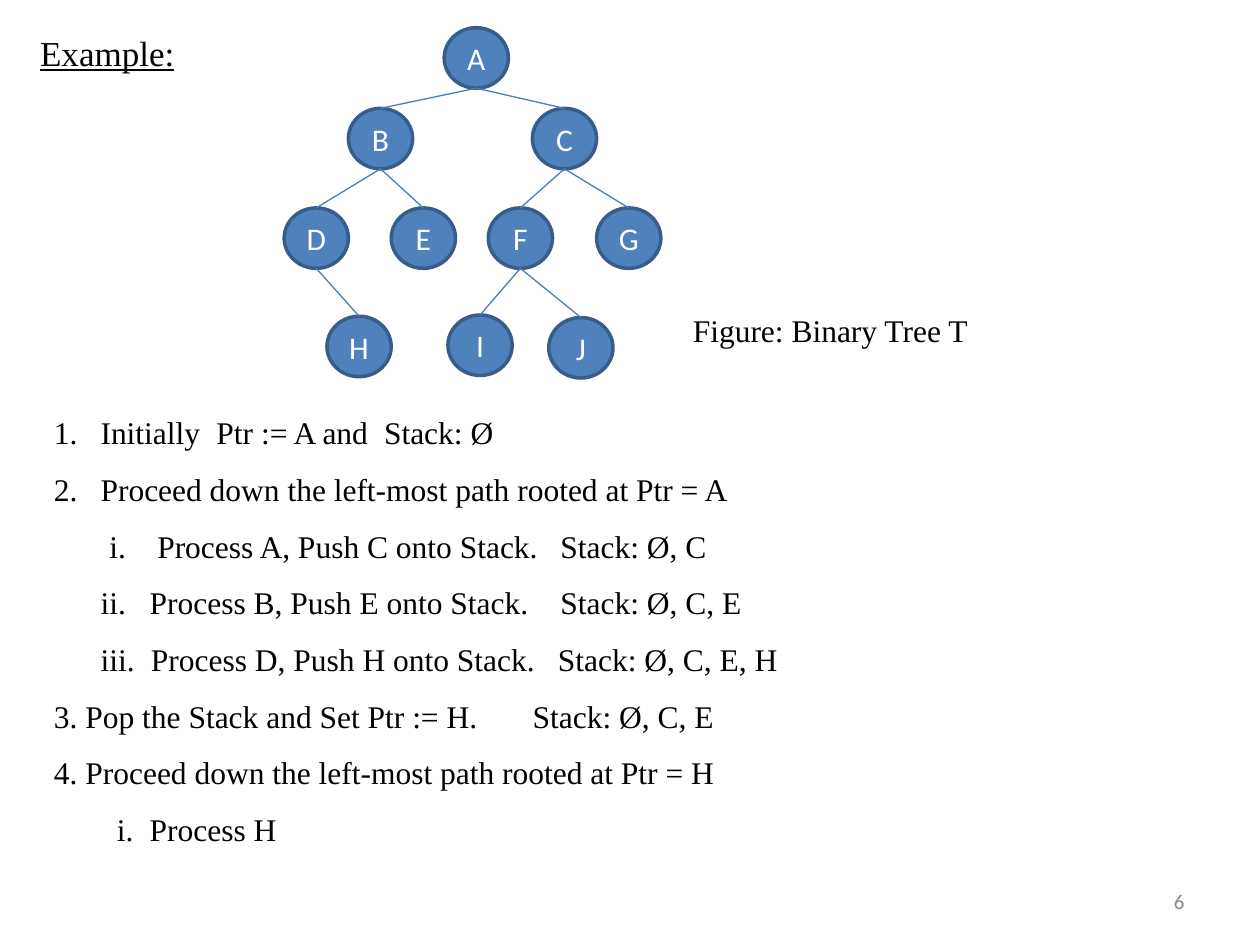
from dataclasses import dataclass

from lxml import etree
from pptx import Presentation
from pptx.dml.color import RGBColor
from pptx.enum.shapes import MSO_CONNECTOR, MSO_SHAPE
from pptx.enum.text import MSO_ANCHOR, MSO_AUTO_SIZE, PP_ALIGN
from pptx.oxml.ns import qn
from pptx.util import Inches, Pt

OVAL = MSO_SHAPE.OVAL
STRAIGHT = MSO_CONNECTOR.STRAIGHT
MIDDLE = MSO_ANCHOR.MIDDLE
CENTER, RIGHT = PP_ALIGN.CENTER, PP_ALIGN.RIGHT
GROW = MSO_AUTO_SIZE.SHAPE_TO_FIT_TEXT
TOP_SITE = 0


@dataclass(frozen=True)
class Theme:
    ink: str = "000000"
    muted: str = "898989"
    node_fill: str = "4F81BD"
    node_line: str = "385D8A"
    node_text: str = "FFFFFF"
    branch: str = "4A7EBB"
    serif: str = "Times New Roman"
    sans: str = "Calibri"
    heading: int = 20
    body: int = 18
    small: int = 12


THEME = Theme()
BODY_FONT = {"name": THEME.serif, "size": THEME.body, "color": THEME.ink}
HEADING_FONT = {**BODY_FONT, "size": THEME.heading, "underline": True}
NODE_FONT = {"name": THEME.sans, "size": THEME.body, "color": THEME.node_text}
NUMBER_FONT = {"name": THEME.sans, "size": THEME.small, "color": THEME.muted}

# Node: centre and top, in inches from the tree's corner
NODE_WIDTH, NODE_HEIGHT = 0.51, 0.48
NODES = {
    "A": (1.53, 0),
    "B": (0.77, 0.64), "C": (2.23, 0.64),
    "D": (0.26, 1.43), "E": (1.11, 1.43), "F": (1.88, 1.43), "G": (2.74, 1.43),
    "H": (0.6, 2.29), "I": (1.56, 2.28), "J": (2.36, 2.3),
}
CHILDREN = {"A": "BC", "B": "ED", "C": "GF", "D": "H", "F": "IJ"}

# Step: automatic number, tab stops in inches, text
NUMBER_INDENT = 0.37
STEPS = [
    (True, (1.29, 2.62), "Initially\tPtr := A and\tStack: Ø"),
    (True, (), "Proceed down the left-most path rooted at Ptr = A"),
    (False, (0.44, 0.82, 4.02), "\ti.\tProcess A, Push C onto Stack.\tStack: Ø, C"),
    (False, (0.37, 0.76, 4.02), "\tii.\tProcess B, Push E onto Stack.\tStack: Ø, C, E"),
    (False, (0.37, 0.77, 4), "\tiii.\tProcess D, Push H onto Stack.\tStack: Ø, C, E, H"),
    (False, (3.8,), "3. Pop the Stack and Set Ptr := H.\tStack: Ø, C, E"),
    (False, (), "4. Proceed down the left-most path rooted at Ptr = H"),
    (False, (0.5, 0.76), "\ti.\tProcess H"),
]


def style_font(font, values):
    for key, value in values.items():
        if key == "color":
            font.color.rgb = RGBColor.from_string(value)
        else:
            setattr(font, key, Pt(value) if key == "size" else value)


def add_label(slide, box, text, font, align=None, anchor=None):
    label = slide.shapes.add_textbox(*(Inches(v) for v in box))
    frame = label.text_frame
    frame.word_wrap = True
    if anchor is None:
        frame.auto_size = GROW
    else:
        frame.vertical_anchor = anchor
    paragraph = frame.paragraphs[0]
    paragraph.alignment = align
    run = paragraph.add_run()
    run.text = text
    style_font(run.font, font)


def add_node(shapes, left, top, letter):
    node = shapes.add_shape(OVAL, Inches(left), Inches(top),
                            Inches(NODE_WIDTH), Inches(NODE_HEIGHT))
    node.shadow.inherit = False
    node.fill.solid()
    node.fill.fore_color.rgb = RGBColor.from_string(THEME.node_fill)
    node.line.color.rgb = RGBColor.from_string(THEME.node_line)
    node.line.width = Pt(2)
    frame = node.text_frame
    frame.vertical_anchor = MIDDLE
    paragraph = frame.paragraphs[0]
    paragraph.alignment = CENTER
    run = paragraph.add_run()
    run.text = letter
    style_font(run.font, NODE_FONT)
    return node


def add_branch(shapes, parent, child):
    start_x = parent.left + parent.width // 2
    start_y = parent.top + parent.height
    branch = shapes.add_connector(STRAIGHT, start_x, start_y,
                                  child.left + child.width // 2, child.top)
    branch.end_connect(child, TOP_SITE)
    branch.line.color.rgb = RGBColor.from_string(THEME.branch)
    branch.line.width = Pt(0.75)
    etree.SubElement(branch._element.spPr, qn("a:effectLst"))


def add_tree(slide, left, top):
    shapes = slide.shapes.add_group_shape().shapes
    nodes = {
        letter: add_node(shapes, left + x - NODE_WIDTH / 2, top + y, letter)
        for letter, (x, y) in NODES.items()
    }
    for parent, children in CHILDREN.items():
        for child in children:
            add_branch(shapes, nodes[parent], nodes[child])


def set_layout(paragraph, numbered, stops):
    properties = paragraph._p.get_or_add_pPr()
    if numbered:
        properties.set("marL", str(Inches(NUMBER_INDENT)))
        properties.set("indent", str(-Inches(NUMBER_INDENT)))
        etree.SubElement(properties, qn("a:buFont"), typeface=THEME.serif)
        etree.SubElement(properties, qn("a:buAutoNum"), type="arabicPeriod")
    if stops:
        tabs = etree.SubElement(properties, qn("a:tabLst"))
        for stop in stops:
            etree.SubElement(tabs, qn("a:tab"), pos=str(Inches(stop)), algn="l")


def add_steps(slide, box):
    frame = slide.shapes.add_textbox(*(Inches(v) for v in box)).text_frame
    frame.word_wrap = True
    frame.auto_size = GROW
    for index, (numbered, stops, text) in enumerate(STEPS):
        paragraph = frame.add_paragraph() if index else frame.paragraphs[0]
        set_layout(paragraph, numbered, stops)
        paragraph.line_spacing = 1.5
        run = paragraph.add_run()
        run.text = text
        style_font(run.font, BODY_FONT)


def main():
    deck = Presentation()
    deck.slide_width, deck.slide_height = Inches(10), Inches(7.5)
    slide = deck.slides.add_slide(deck.slide_layouts[6])

    # Slide number
    add_label(slide, (7.17, 6.95, 2.33, 0.4), "6", NUMBER_FONT, RIGHT, MIDDLE)
    # Binary tree
    add_tree(slide, 2.25, 0.22)
    # Heading, traversal steps and caption
    add_label(slide, (0.22, 0.2, 9.42, 0.44), "Example:", HEADING_FONT)
    add_steps(slide, (0.33, 3.08, 9.17, 4.6))
    add_label(slide, (5.4, 2.42, 3.42, 0.4), "Figure: Binary Tree T", BODY_FONT)

    deck.save("out.pptx")


if __name__ == "__main__":
    main()
